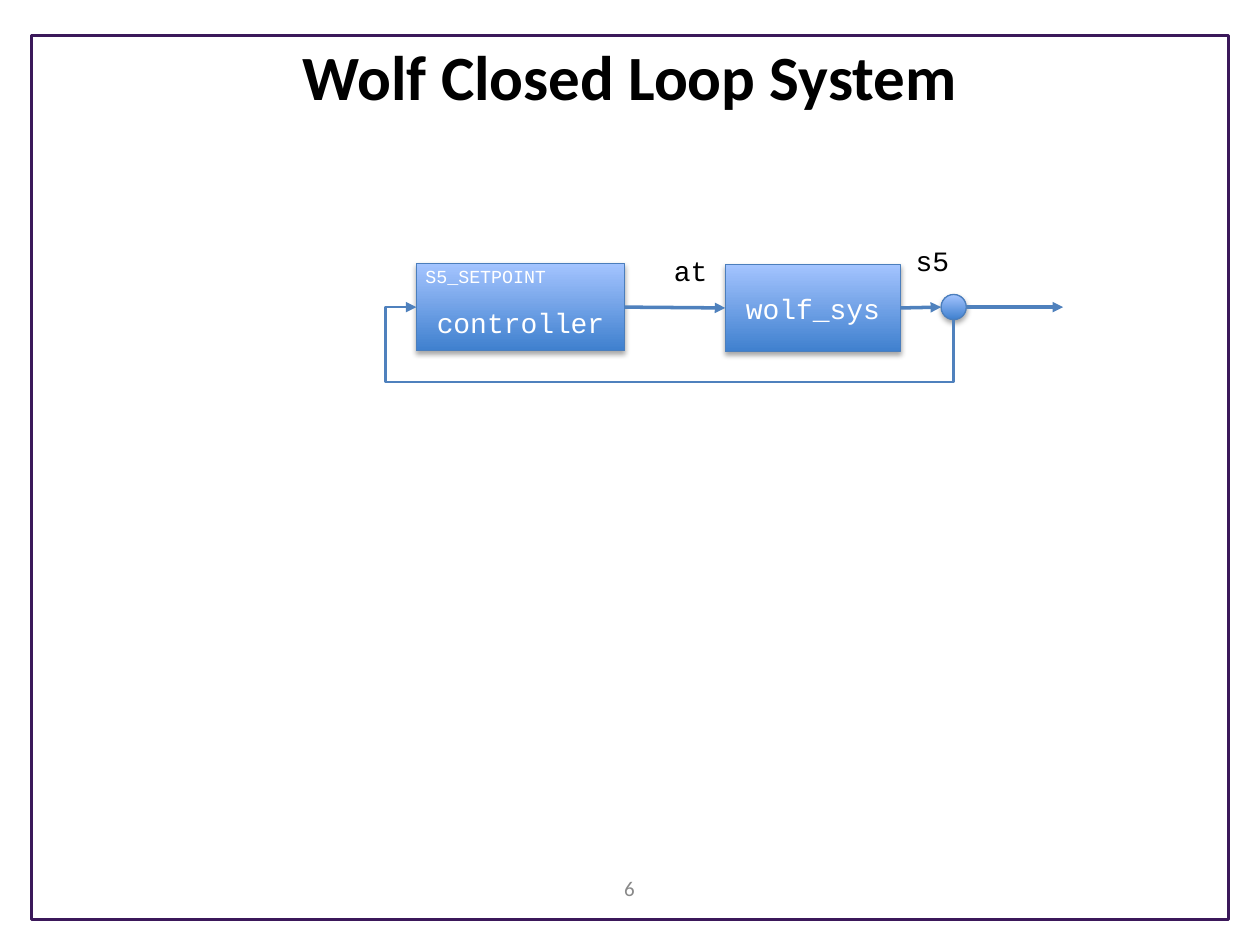
from lxml.etree import SubElement
from pptx import Presentation
from pptx.dml.color import RGBColor
from pptx.enum.shapes import MSO_CONNECTOR, MSO_SHAPE
from pptx.enum.text import MSO_ANCHOR, MSO_AUTO_SIZE, PP_ALIGN
from pptx.oxml.ns import qn
from pptx.util import Pt

BLACK = RGBColor(0x00, 0x00, 0x00)
WHITE = RGBColor(0xFF, 0xFF, 0xFF)
GRAY = RGBColor(0x89, 0x89, 0x89)
PURPLE = RGBColor(0x3B, 0x18, 0x5A)
DARK_BLUE = RGBColor(0x3F, 0x80, 0xCE)
LIGHT_BLUE = RGBColor(0xA4, 0xC4, 0xFF)
EDGE_BLUE = RGBColor(0x4B, 0x7E, 0xBC)
LINE_BLUE = RGBColor(0x4F, 0x81, 0xBD)

TITLE = ("Wolf Closed Loop System", (36, 18, 648, 66))
FRAME = (18, 20.2, 684, 505.4)
NUMBER = ("6", (245.5, 493.2, 228.5, 28.8))
BLOCKS = {
    "controller": ((238, 150.5, 119, 50), 18, 0),
    "wolf_sys": ((414.5, 151, 100, 50), 3.6, 3.6),
}
LABELS = [
    ("S5_SETPOINT", (236, 148.2, 84, 20), 10.5, WHITE, False),
    ("s5", (516.2, 135.4, 35.3, 26.6), 16, BLACK, True),
    ("at", (378, 141.1, 35.3, 26.6), 16, BLACK, True),
]
NODE_CENTER = (545, 175.5)
NODE_SIZE = 14.4
OUTPUT_END = 607.5
LOOP_BOTTOM = 218.2
LOOP_LEFT = 220.3


def points(values):
    return [Pt(value) for value in values]


def write(frame, text, formats, align=PP_ALIGN.LEFT, anchor=MSO_ANCHOR.TOP):
    frame.vertical_anchor = anchor
    para = frame.paragraphs[0]
    para.alignment = align
    span = para.add_run()
    span.text = text
    for name, value in formats.items():
        if name == "color":
            span.font.color.rgb = value
        else:
            setattr(span.font, name, value)


def add_glossy(page, kind, place):
    shape = page.shapes.add_shape(kind, *points(place))
    shape.fill.gradient()
    shape.fill.gradient_angle = 90
    for stop, color in zip(shape.fill.gradient_stops, (DARK_BLUE, LIGHT_BLUE)):
        stop.color.rgb = color
    shape.line.color.rgb = EDGE_BLUE
    shape.line.width = Pt(0.75)
    effects = SubElement(shape._element.spPr, qn("a:effectLst"))
    shadow = SubElement(effects, qn("a:outerShdw"), blurRad=str(Pt(3.1)),
                        dist=str(Pt(1.8)), dir="5400000", rotWithShape="0")
    color = SubElement(shadow, qn("a:srgbClr"), val="000000")
    SubElement(color, qn("a:alpha"), val="35000")
    return shape


def add_arrow(page, kind, start, end, width):
    arrow = page.shapes.add_connector(kind, *points(start + end))
    arrow.line.color.rgb = LINE_BLUE
    arrow.line.width = Pt(width)
    SubElement(arrow.line._get_or_add_ln(), qn("a:tailEnd"), type="triangle")
    SubElement(arrow._element.spPr, qn("a:effectLst"))
    return arrow


def add_feedback(page, start, end):
    across, rise = start[0] - end[0], start[1] - end[1]
    middle_x, middle_y = (start[0] + end[0]) / 2, (start[1] + end[1]) / 2
    arrow = add_arrow(page, MSO_CONNECTOR.ELBOW,
                      (middle_x + rise / 2, middle_y - across / 2),
                      (middle_x - rise / 2, middle_y + across / 2), 1.5)
    properties = arrow._element.spPr
    properties.find(qn("a:xfrm")).set("rot", "5400000")
    geometry = properties.find(qn("a:prstGeom"))
    geometry.set("prst", "bentConnector4")
    guides = geometry.find(qn("a:avLst"))
    if guides is None:
        guides = SubElement(geometry, qn("a:avLst"))
    ratios = ((start[1] - LOOP_BOTTOM) / rise, (start[0] - LOOP_LEFT) / across)
    for index, ratio in enumerate(ratios, 1):
        SubElement(guides, qn("a:gd"), name=f"adj{index}",
                   fmla=f"val {round(ratio * 100000)}")


def main():
    deck = Presentation()
    deck.slide_width, deck.slide_height = Pt(720), Pt(540)
    page = deck.slides.add_slide(deck.slide_layouts[5])

    title = page.shapes.title
    title.left, title.top, title.width, title.height = points(TITLE[1])
    write(title.text_frame, TITLE[0],
          {"name": "Calibri", "size": Pt(36), "bold": True, "color": BLACK},
          PP_ALIGN.CENTER)

    border = page.shapes.add_shape(MSO_SHAPE.RECTANGLE, *points(FRAME))
    border.shadow.inherit = False
    border.fill.background()
    border.line.color.rgb = PURPLE
    border.line.width = Pt(1.75)

    number = page.shapes.add_textbox(*points(NUMBER[1])).text_frame
    number.word_wrap = True
    write(number, NUMBER[0],
          {"name": "Calibri", "size": Pt(12), "color": GRAY},
          PP_ALIGN.CENTER, MSO_ANCHOR.MIDDLE)

    blocks = {}
    for name, (place, top, bottom) in BLOCKS.items():
        box = add_glossy(page, MSO_SHAPE.RECTANGLE, place)
        box.text_frame.margin_top, box.text_frame.margin_bottom = Pt(top), Pt(bottom)
        write(box.text_frame, name,
              {"name": "Courier New", "size": Pt(16), "color": WHITE},
              PP_ALIGN.CENTER, MSO_ANCHOR.MIDDLE)
        blocks[name] = box

    node_x, node_y = NODE_CENTER
    radius = NODE_SIZE / 2
    add_glossy(page, MSO_SHAPE.OVAL,
               (node_x - radius, node_y - radius, NODE_SIZE, NODE_SIZE))

    node_left, node_right = (node_x - radius, node_y), (node_x + radius, node_y)
    control = add_arrow(page, MSO_CONNECTOR.STRAIGHT, node_left, node_right, 2)
    control.begin_connect(blocks["controller"], 3)
    control.end_connect(blocks["wolf_sys"], 1)
    measured = add_arrow(page, MSO_CONNECTOR.STRAIGHT, node_left, node_left, 2)
    measured.begin_connect(blocks["wolf_sys"], 3)
    add_arrow(page, MSO_CONNECTOR.STRAIGHT, node_right, (OUTPUT_END, node_y), 2)

    left, top, _, height = BLOCKS["controller"][0]
    add_feedback(page, (node_x, node_y + radius), (left, top + height / 2))

    for text, place, size, color, wrap in LABELS:
        label = page.shapes.add_textbox(*points(place)).text_frame
        label.word_wrap = wrap
        label.auto_size = MSO_AUTO_SIZE.SHAPE_TO_FIT_TEXT
        write(label, text,
              {"name": "Courier New", "size": Pt(size), "color": color})

    deck.save("out.pptx")


if __name__ == "__main__":
    main()
